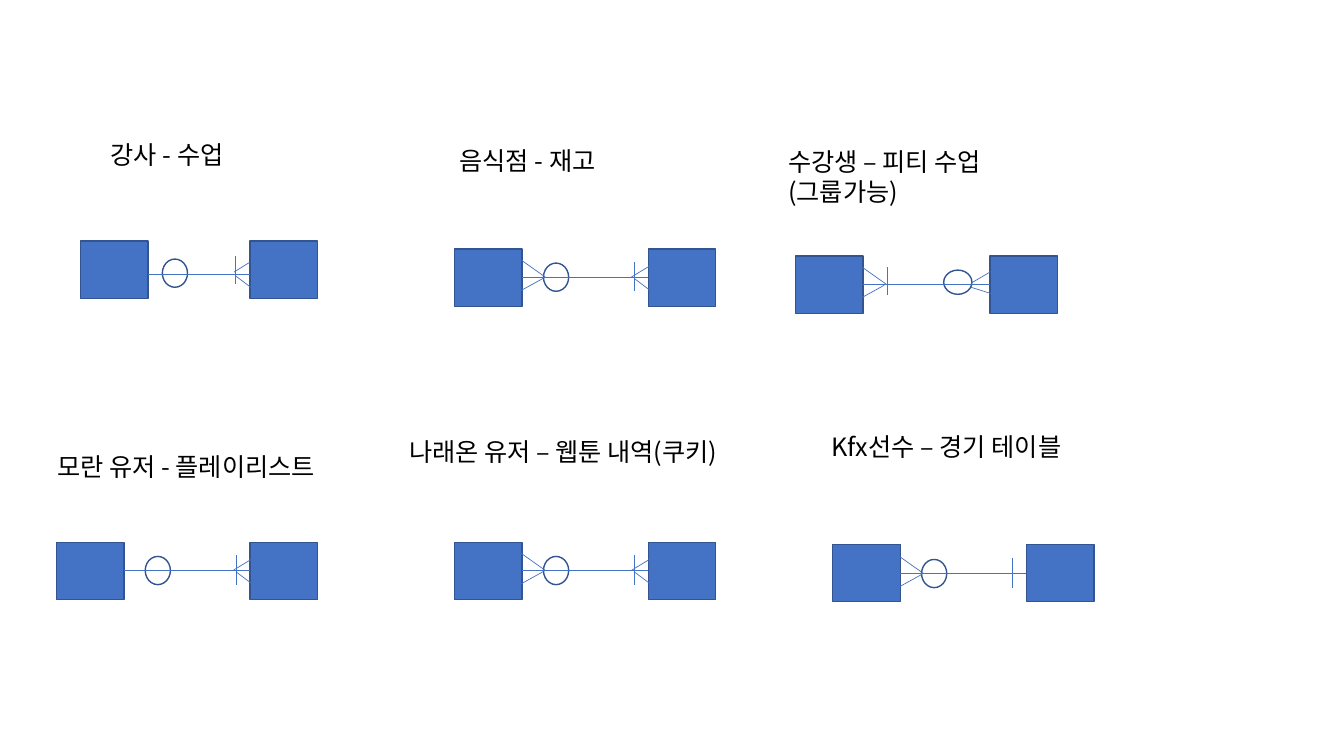
from lxml import etree
from pptx import Presentation
from pptx.dml.color import RGBColor
from pptx.enum.shapes import MSO_CONNECTOR, MSO_SHAPE
from pptx.enum.text import MSO_AUTO_SIZE
from pptx.oxml.ns import qn
from pptx.util import Inches, Pt

STRAIGHT = MSO_CONNECTOR.STRAIGHT
RECTANGLE, OVAL = MSO_SHAPE.RECTANGLE, MSO_SHAPE.OVAL
GROW = MSO_AUTO_SIZE.SHAPE_TO_FIT_TEXT

FONT = "Noto Sans CJK KR"
BLUE, NAVY, WHITE, BLACK = "4472C4", "325491", "FFFFFF", "000000"
BOX_WIDTH, BOX_HEIGHT = 0.67, 0.57

# Offsets from the point where the relation line meets an entity box.
# Circles: left, top, width, height. Strokes: x1, y1, x2, y2.
NEAR_CIRCLE = (0.14, -0.15, 0.25, 0.28)
LEFT_CIRCLE = (0.21, -0.14, 0.25, 0.28)
RIGHT_CIRCLE = (-0.46, -0.14, 0.28, 0.24)
LEFT_BAR = (0.24, -0.17, 0.24, 0.11)
RIGHT_BAR = (-0.14, -0.15, -0.14, 0.14)
HIGH_BAR = (-0.15, -0.18, -0.15, 0.1)
LEFT_FOOT = [(-0.01, -0.17, 0.23, 0), (-0.08, 0.17, 0.21, 0.01)]
RIGHT_FOOT = [(-0.17, 0, 0.11, -0.17), (-0.13, 0.02, 0.11, 0.2)]
HIGH_FOOT = [(-0.14, 0.02, 0.1, 0.2), (-0.16, -0.02, 0, -0.12)]
CIRCLE_FOOT = [(-0.19, -0.01, 0.1, -0.18), (-0.19, 0.03, 0.32, 0.19)]

# Left box, right box, top, line height, then circles and strokes of each end.
RELATIONS = [
    (0.8, 2.48, 2.39, 2.72, [NEAR_CIRCLE], [], [], [HIGH_BAR, *HIGH_FOOT]),
    (4.51, 6.43, 2.47, 2.75, [LEFT_CIRCLE], LEFT_FOOT, [], [RIGHT_BAR, *RIGHT_FOOT]),
    (7.89, 9.82, 2.54, 2.82, [], [LEFT_BAR, *LEFT_FOOT], [RIGHT_CIRCLE], CIRCLE_FOOT),
    (0.56, 2.48, 5.38, 5.66, [LEFT_CIRCLE], [], [], [RIGHT_BAR, *RIGHT_FOOT]),
    (4.51, 6.43, 5.38, 5.66, [LEFT_CIRCLE], LEFT_FOOT, [], [RIGHT_BAR, *RIGHT_FOOT]),
    (8.26, 10.18, 5.4, 5.69, [LEFT_CIRCLE], LEFT_FOOT, [], [RIGHT_BAR]),
]

TITLES = [
    (1, 1.33, 2.96, 0.4, "강사 - 수업"),
    (4.46, 1.39, 2.96, 0.4, "음식점 - 재고"),
    (7.72, 1.4, 2.96, 0.71, "수강생 – 피티 수업(그룹가능)"),
    (0.47, 4.43, 3.39, 0.4, "모란 유저 - 플레이리스트"),
    (3.96, 4.28, 3.57, 0.4, "나래온 유저 – 웹툰 내역(쿠키)"),
    (8.15, 4.23, 2.96, 0.4, "Kfx선수 – 경기 테이블"),
]


def color(value):
    return RGBColor.from_string(value)


def add_figure(page, kind, left, top, width, height, fill):
    figure = page.shapes.add_shape(
        kind, Inches(left), Inches(top), Inches(width), Inches(height))
    figure.shadow.inherit = False
    figure.fill.solid()
    figure.fill.fore_color.rgb = color(fill)
    figure.line.color.rgb = color(NAVY)
    figure.line.width = Pt(1)


def add_stroke(page, x1, y1, x2, y2):
    stroke = page.shapes.add_connector(
        STRAIGHT, Inches(x1), Inches(y1), Inches(x2), Inches(y2))
    stroke.line.color.rgb = color(BLUE)
    stroke.line.width = Pt(0.5)
    etree.SubElement(stroke._element.spPr, qn("a:effectLst"))


def add_title(page, left, top, width, height, text):
    box = page.shapes.add_textbox(
        Inches(left), Inches(top), Inches(width), Inches(height))
    frame = box.text_frame
    frame.word_wrap = True
    frame.auto_size = GROW
    frame.text = text
    span = frame.paragraphs[0].runs[0]
    span.font.size = Pt(18)
    span.font.name = FONT
    span.font.color.rgb = color(BLACK)
    east_asian = etree.SubElement(span._r.get_or_add_rPr(), qn("a:ea"))
    east_asian.set("typeface", FONT)


def add_relation(page, left, right, top, axis, left_circles, left_strokes,
                 right_circles, right_strokes):
    """Draw two entity boxes, the line between them and its end marks."""
    left_edge = left + BOX_WIDTH
    ends = [(left_edge, left_circles, left_strokes),
            (right, right_circles, right_strokes)]
    for box_left in (left, right):
        add_figure(page, RECTANGLE, box_left, top, BOX_WIDTH, BOX_HEIGHT, BLUE)
    for edge, circles, _ in ends:
        for x, y, width, height in circles:
            add_figure(page, OVAL, edge + x, axis + y, width, height, WHITE)
    add_stroke(page, left_edge, axis, right, axis)
    for edge, _, strokes in ends:
        for x1, y1, x2, y2 in strokes:
            add_stroke(page, edge + x1, axis + y1, edge + x2, axis + y2)


def main():
    deck = Presentation()
    deck.slide_width, deck.slide_height = Inches(13.33), Inches(7.5)
    page = deck.slides.add_slide(deck.slide_layouts[6])
    for title in TITLES:
        add_title(page, *title)
    for relation in RELATIONS:
        add_relation(page, *relation)
    deck.save("out.pptx")


if __name__ == "__main__":
    main()
